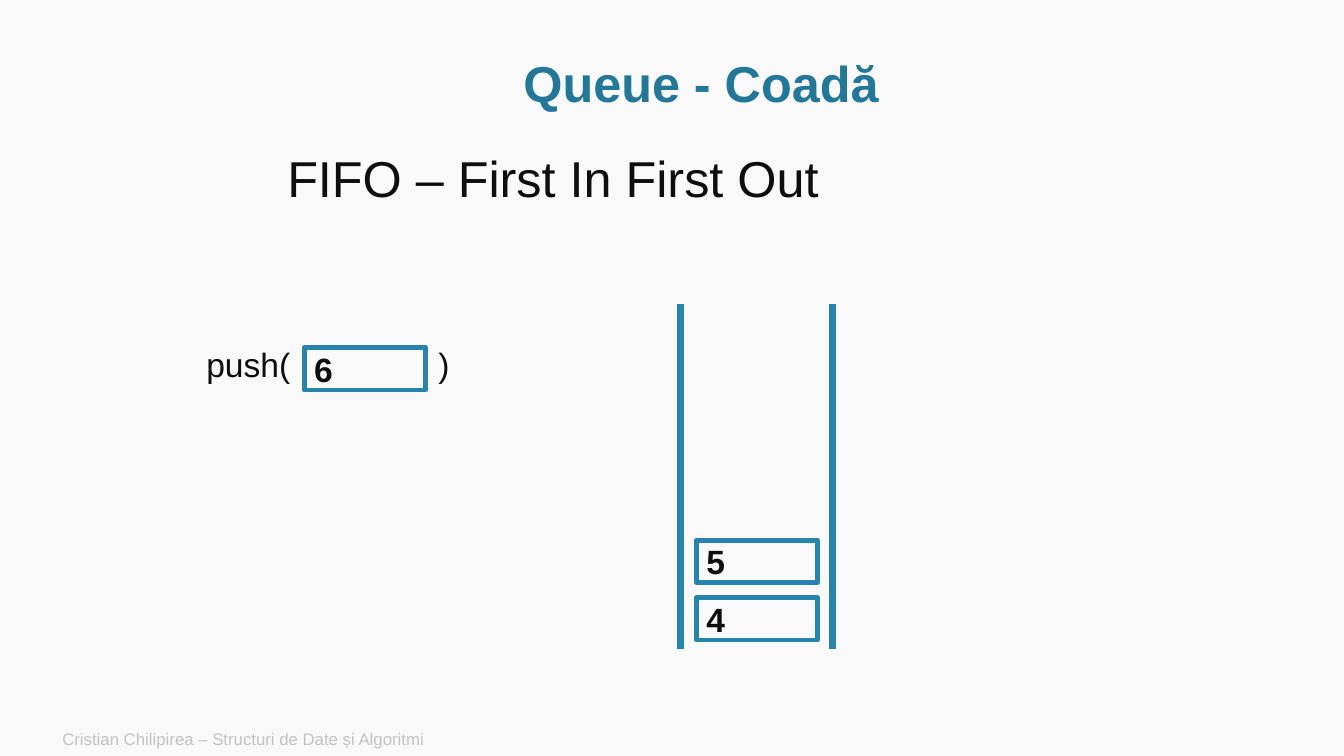
"""Build the slide that shows a value being pushed into a FIFO queue."""
from dataclasses import dataclass

from lxml.etree import SubElement
from pptx import Presentation
from pptx.dml.color import RGBColor as RGB
from pptx.enum.shapes import MSO_CONNECTOR as Line, MSO_SHAPE as Shape
from pptx.enum.text import MSO_ANCHOR as Anchor, MSO_AUTO_SIZE as Auto, PP_ALIGN as Align
from pptx.oxml.ns import qn
from pptx.util import Cm, Pt

TITLE = "Queue - Coadă"
SUBTITLE = "FIFO – First In First Out"
CALL = "push(\t)"
PUSHED = "6"
QUEUED = ["4", "5"]
FOOTER = "Cristian Chilipirea – Structuri de Date și Algoritmi"

TITLE_AT = (2.9, 1.3, 29.54, 1.75)
SUBTITLE_AT = (6.99, 3.76, 15.44, 2.13)
CALL_AT = (4.95, 8.53, 6.96, 1.27)
CALL_TAB = 5.85
FOOTER_AT = (1.32, 18.19, 21.34, 0.86)
PUSHED_AT = (7.67, 8.76)
FRONT_AT = (17.55, 15.06)
CELL_SIZE = (3.05, 1.07)
CELL_PITCH = 1.45
RAIL_XS = (17.15, 20.98)
RAIL_YS = (7.65, 16.36)


@dataclass(frozen=True)
class Theme:
    font: str = "Arial"
    paper: RGB = RGB.from_string("F9F9F9")
    ink: RGB = RGB.from_string("0E0E0E")
    heading: RGB = RGB.from_string("237798")
    stroke: RGB = RGB.from_string("2785AD")
    muted: RGB = RGB.from_string("C3C3C3")
    large: int = 36
    body: int = 24
    small: int = 12
    rail: float = 5.5
    border: float = 3.5


T = Theme()


def write(sp, text, size=T.body, color=T.ink, bold=False, align=Align.LEFT,
          anchor=Anchor.TOP, spacing=1.0, tab=None):
    tf = sp.text_frame
    tf.word_wrap, tf.auto_size, tf.vertical_anchor = True, Auto.NONE, anchor
    p = tf.paragraphs[0]
    p.alignment, p.line_spacing = align, spacing
    if tab:
        tabs = SubElement(p._p.get_or_add_pPr(), qn("a:tabLst"))
        SubElement(tabs, qn("a:tab"), pos=str(Cm(tab)), algn="l")
    r = p.add_run()
    r.text = text
    r.font.name, r.font.size, r.font.bold = T.font, Pt(size), bold
    r.font.color.rgb = color


def add_text(s, at, text, **fmt):
    write(s.shapes.add_textbox(*map(Cm, at)), text, **fmt)


def add_cell(s, left, top, text):
    sp = s.shapes.add_shape(Shape.RECTANGLE, *map(Cm, (left, top, *CELL_SIZE)))
    sp.shadow.inherit = False
    sp.fill.background()
    sp.line.color.rgb, sp.line.width = T.stroke, Pt(T.border)
    write(sp, text, bold=True, anchor=Anchor.MIDDLE)


def add_rail(s, x):
    top, bottom = RAIL_YS
    rail = s.shapes.add_connector(Line.STRAIGHT, *map(Cm, (x, top, x, bottom)))
    rail.line.color.rgb, rail.line.width = T.stroke, Pt(T.rail)
    SubElement(rail._element.spPr, qn("a:effectLst"))


def main():
    prs = Presentation()
    prs.slide_width, prs.slide_height = Cm(33.87), Cm(19.05)
    s = prs.slides.add_slide(prs.slide_layouts[5])
    s.background.fill.solid()
    s.background.fill.fore_color.rgb = T.paper

    title = s.shapes.title
    title.left, title.top, title.width, title.height = map(Cm, TITLE_AT)
    write(title, TITLE, size=T.large, color=T.heading, bold=True,
          align=Align.CENTER, anchor=Anchor.MIDDLE, spacing=0.9)
    add_text(s, SUBTITLE_AT, SUBTITLE, size=T.large, spacing=0.9)

    for x in RAIL_XS:
        add_rail(s, x)
    left, bottom = FRONT_AT
    for i, value in enumerate(QUEUED):
        add_cell(s, left, bottom - i * CELL_PITCH, value)

    add_text(s, CALL_AT, CALL, tab=CALL_TAB)
    add_cell(s, *PUSHED_AT, PUSHED)
    add_text(s, FOOTER_AT, FOOTER, size=T.small, color=T.muted, anchor=Anchor.MIDDLE)
    prs.save("out.pptx")


if __name__ == "__main__":
    main()
